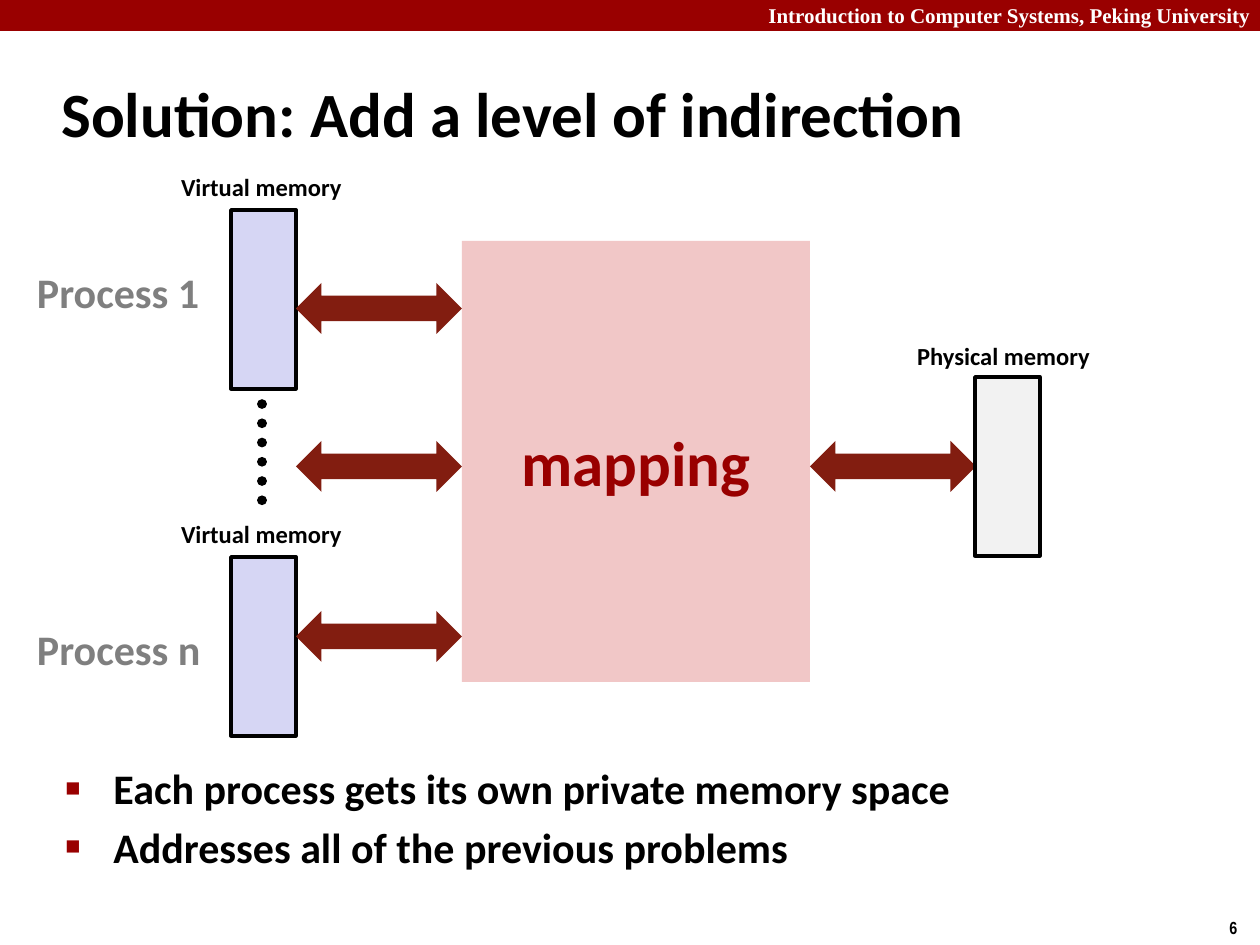
from dataclasses import dataclass

from lxml import etree
from pptx import Presentation
from pptx.dml.color import RGBColor
from pptx.enum.dml import MSO_LINE
from pptx.enum.shapes import MSO_CONNECTOR, MSO_SHAPE
from pptx.enum.text import MSO_ANCHOR, PP_ALIGN
from pptx.oxml.ns import qn
from pptx.util import Emu, Pt

PX_PER_INCH = 126


@dataclass(frozen=True)
class Theme:
    font: str = "Calibri"
    header_font: str = "Times New Roman"
    number_font: str = "Arial Narrow"
    black: str = "000000"
    white: str = "FFFFFF"
    accent: str = "990000"
    gray: str = "7F7F7F"
    mapping: str = "F1C7C7"
    arrow: str = "821D10"
    virtual: str = "D6D6F4"
    physical: str = "F2F2F2"
    title_size: int = 36
    body_size: int = 24
    label_size: int = 14
    header_size: int = 12
    number_size: int = 10


THEME = Theme()


def px(length):
    return Emu(round(length * 914400 / PX_PER_INCH))


def color(value):
    return RGBColor.from_string(value)


def style(para, size, ink=THEME.black, font=THEME.font):
    para.font.name = font
    para.font.size = Pt(size)
    para.font.bold = True
    para.font.color.rgb = color(ink)


def add_text(page, area, text, size, ink=THEME.black, font=THEME.font,
             inset=None, wrap=True, anchor=MSO_ANCHOR.TOP):
    box = page.shapes.add_textbox(*map(px, area))
    frame = box.text_frame
    frame.word_wrap = wrap
    frame.vertical_anchor = anchor
    if inset is not None:
        frame.margin_left = frame.margin_right = px(inset)
        frame.margin_top = frame.margin_bottom = px(inset)
    frame.text = text
    for para in frame.paragraphs:
        style(para, size, ink, font)
    return box


def add_label(page, left, top, width, text):
    add_text(page, (left, top, width, 40), text, THEME.label_size, inset=5, wrap=False)


def add_block(page, area, fill, kind=MSO_SHAPE.RECTANGLE, outlined=False):
    block = page.shapes.add_shape(kind, *map(px, area))
    block.shadow.inherit = False
    block.fill.solid()
    block.fill.fore_color.rgb = color(fill)
    if outlined:
        block.line.color.rgb = color(THEME.black)
        block.line.width = Pt(2)
    else:
        block.line.fill.background()
    return block


def add_memory(page, left, top, fill):
    add_block(page, (left, top, 65, 179), fill, outlined=True)


def add_arrow(page, left, top):
    add_block(page, (left, top, 166, 51), THEME.arrow, MSO_SHAPE.LEFT_RIGHT_ARROW)


def add_dots(page, x, top, bottom):
    """Draw a vertical row of round dots."""
    dots = page.shapes.add_connector(MSO_CONNECTOR.STRAIGHT, px(x), px(top), px(x), px(bottom))
    dots.line.color.rgb = color(THEME.black)
    dots.line.width = Pt(5.5)
    dots.line.dash_style = MSO_LINE.ROUND_DOT
    dots.line._get_or_add_ln().set("cap", "rnd")
    etree.SubElement(dots._element.spPr, qn("a:effectLst"))


def add_bullet(para):
    """Give the paragraph a small red square and a hanging indent."""
    props = para._p.get_or_add_pPr()
    props.set("marL", str(px(48)))
    props.set("indent", str(-px(48)))
    bullet_color = etree.SubElement(props, qn("a:buClr"))
    etree.SubElement(bullet_color, qn("a:srgbClr"), val=THEME.accent)
    etree.SubElement(props, qn("a:buSzPct"), val="60000")
    etree.SubElement(props, qn("a:buFont"), typeface="Arial")
    etree.SubElement(props, qn("a:buChar"), char="■")


def add_bullets(page, area, lines):
    frame = page.shapes.add_textbox(*map(px, area)).text_frame
    frame.word_wrap = True
    for index, line in enumerate(lines):
        para = frame.add_paragraph() if index else frame.paragraphs[0]
        para.text = line
        add_bullet(para)
        if index:
            para.space_before = Pt(4.8)
        style(para, THEME.body_size)


def add_frame(page):
    """Add the header bar, page number and title."""
    add_block(page, (0, 0, 1260, 31), THEME.accent)
    add_text(page, (756, -4, 512, 38), "Introduction to Computer Systems, Peking University",
             THEME.header_size, THEME.white, THEME.header_font)
    add_text(page, (1217, 911, 43, 34), "6", THEME.number_size,
             font=THEME.number_font, wrap=False)
    add_text(page, (49, 60, 1046, 105), "Solution: Add a level of indirection",
             THEME.title_size, anchor=MSO_ANCHOR.MIDDLE)


def add_mapping(page):
    block = add_block(page, (462, 241, 348, 441), THEME.mapping)
    frame = block.text_frame
    frame.vertical_anchor = MSO_ANCHOR.MIDDLE
    frame.text = "mapping"
    para = frame.paragraphs[0]
    para.alignment = PP_ALIGN.CENTER
    style(para, THEME.title_size, THEME.accent)


def main():
    deck = Presentation()
    deck.slide_width, deck.slide_height = px(1260), px(945)
    page = deck.slides.add_slide(deck.slide_layouts[6])

    add_frame(page)
    add_mapping(page)
    for name, name_top, memory_top in (("Process 1", 262, 210), ("Process n", 619, 557)):
        add_text(page, (32, name_top, 275, 62), name, THEME.body_size, THEME.gray, inset=5)
        add_label(page, 176, memory_top - 43, 172, "Virtual memory")
        add_memory(page, 231, memory_top, THEME.virtual)
    add_label(page, 912, 336, 185, "Physical memory")
    for left, top in ((296, 283), (296, 441), (296, 611), (810, 441)):
        add_arrow(page, left, top)
    add_memory(page, 975, 377, THEME.physical)
    add_dots(page, 262, 404, 508)
    add_bullets(page, (53, 756, 1155, 185), (
        "Each process gets its own private memory space",
        "Addresses all of the previous problems",
    ))
    deck.save("out.pptx")


if __name__ == "__main__":
    main()
